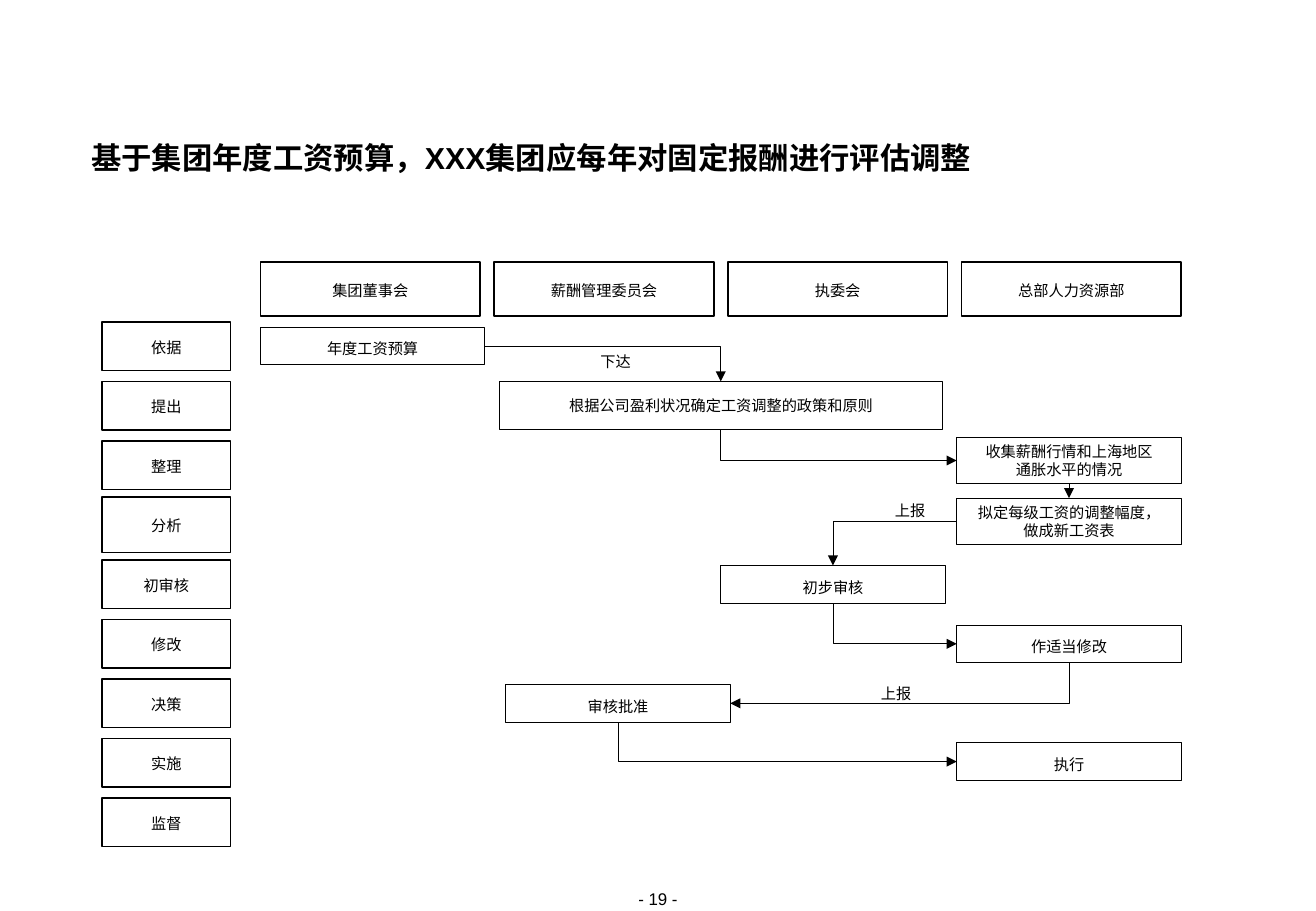
from lxml import etree
from pptx import Presentation
from pptx.dml.color import RGBColor
from pptx.enum.shapes import MSO_CONNECTOR, MSO_SHAPE
from pptx.enum.text import MSO_ANCHOR, PP_ALIGN
from pptx.oxml.ns import qn
from pptx.util import Inches, Pt

RECTANGLE = MSO_SHAPE.RECTANGLE
STRAIGHT, ELBOW = MSO_CONNECTOR.STRAIGHT, MSO_CONNECTOR.ELBOW
LEFT, CENTER = PP_ALIGN.LEFT, PP_ALIGN.CENTER
TOP, MIDDLE = MSO_ANCHOR.TOP, MSO_ANCHOR.MIDDLE
SIDES = {"top": 0, "left": 1, "bottom": 2, "right": 3}

COLORS = {"ink": "000000", "paper": "FFFFFF"}
FONT = "Arial"

TITLE = "基于集团年度工资预算，XXX集团应每年对固定报酬进行评估调整"
PAGE_NUMBER = "- 19 -"
DEPARTMENTS = ["集团董事会", "薪酬管理委员会", "执委会", "总部人力资源部"]
STAGES = ["依据", "提出", "整理", "分析", "初审核", "修改", "决策", "实施", "监督"]
TALL_STAGE = "分析"

# name: (lines, column, row, width, height, line spacing)
STEPS = {
    "budget": (["年度工资预算"], 0.01, 0, 1.85, 0.31, Pt(14)),
    "policy": (["根据公司盈利状况确定工资调整的政策和原则"], 1.5, 1, 3.65, 0.4, 1.0),
    "survey": (["收集薪酬行情和上海地区", "通胀水平的情况"], 2.99, 1.92, 1.85, 0.38, 1.0),
    "proposal": (["拟定每级工资的调整幅度，", "做成新工资表"], 2.99, 2.94, 1.85, 0.38, 1.0),
    "review": (["初步审核"], 1.98, 4, 1.85, 0.31, Pt(14)),
    "revision": (["作适当修改"], 2.99, 5, 1.85, 0.31, Pt(14)),
    "approval": (["审核批准"], 1.06, 6, 1.85, 0.31, Pt(14)),
    "execution": (["执行"], 2.99, 6.98, 1.85, 0.31, Pt(14)),
}
FLOWS = [
    ("budget", "right", "policy", "top"),
    ("policy", "bottom", "survey", "left"),
    ("survey", "bottom", "proposal", "top"),
    ("proposal", "left", "review", "top"),
    ("review", "bottom", "revision", "left"),
    ("revision", "bottom", "approval", "right"),
    ("approval", "bottom", "execution", "left"),
]
FLOW_LABELS = [("下达", 1.05, 0.21), ("上报", 2.31, 2.72), ("上报", 2.25, 5.79)]

# Centres of the grid, in inches
FIRST_COLUMN, COLUMN_PITCH = 3.05, 1.925
FIRST_ROW, ROW_PITCH = 2.85, 0.49
STAGE_X, HEADER_Y = 1.37, 2.38


def column_x(column):
    return FIRST_COLUMN + column * COLUMN_PITCH


def row_y(row):
    return FIRST_ROW + row * ROW_PITCH


def color(name):
    return RGBColor.from_string(COLORS[name])


def write(shape, lines, size=9, spacing=1.0, align=CENTER, anchor=MIDDLE, bold=False, wrap=True):
    frame = shape.text_frame
    frame.margin_left = frame.margin_right = frame.margin_top = frame.margin_bottom = 0
    frame.word_wrap = wrap
    frame.vertical_anchor = anchor
    frame.text = "\n".join(lines)
    for paragraph in frame.paragraphs:
        paragraph.alignment = align
        paragraph.line_spacing = spacing
        paragraph.font.size = Pt(size)
        paragraph.font.name = FONT
        paragraph.font.bold = bold
        paragraph.font.color.rgb = color("ink")


def centered(x, y, width, height):
    """Left, top, width and height of a box around its centre."""
    return [Inches(n) for n in (x - width / 2, y - height / 2, width, height)]


def add_box(slide, lines, x, y, width, height, line_width, spacing, filled=False):
    box = slide.shapes.add_shape(RECTANGLE, *centered(x, y, width, height))
    box.shadow.inherit = False
    if filled:
        box.fill.solid()
        box.fill.fore_color.rgb = color("paper")
    else:
        box.fill.background()
    box.line.color.rgb = color("ink")
    box.line.width = Pt(line_width)
    write(box, lines, spacing=spacing)
    return box


def bend_once(connector, starts_down):
    """Give the connector a single corner, turning its frame if it leaves downwards."""
    properties = connector._element.spPr
    properties.find(qn("a:prstGeom")).set("prst", "bentConnector2")
    if not starts_down:
        return
    goes_right = connector.end_x > connector.begin_x
    left, top, width, height = connector.left, connector.top, connector.width, connector.height
    connector.left = left + (width - height) // 2
    connector.top = top + (height - width) // 2
    connector.width, connector.height = height, width
    frame = properties.find(qn("a:xfrm"))
    frame.set("rot", str((270 if goes_right else 90) * 60000))
    frame.set("flipH", "1" if goes_right else "0")


def add_flow(slide, source, source_side, target, target_side):
    straight = (source_side, target_side) == ("bottom", "top")
    connector = slide.shapes.add_connector(STRAIGHT if straight else ELBOW, 0, 0, 0, 0)
    connector.begin_connect(source, SIDES[source_side])
    connector.end_connect(target, SIDES[target_side])
    if not straight:
        bend_once(connector, source_side == "bottom")
    connector.line.color.rgb = color("ink")
    connector.line.width = Pt(0.5)
    etree.SubElement(connector.line._get_or_add_ln(), qn("a:tailEnd"), type="triangle")
    etree.SubElement(connector._element.spPr, qn("a:effectLst"))


def main():
    presentation = Presentation()
    presentation.slide_width, presentation.slide_height = Inches(10.84), Inches(7.5)
    slide = presentation.slides.add_slide(presentation.slide_layouts[6])

    title = slide.shapes.add_textbox(Inches(0.75), Inches(1.17), Inches(9.33), Inches(0.28))
    write(title, [TITLE], size=18, spacing=Pt(20), align=LEFT, anchor=TOP, bold=True)
    page_number = slide.shapes.add_textbox(*centered(5.42, 7.405, 1.14, 0.17))
    write(page_number, [PAGE_NUMBER], size=10, anchor=TOP)

    for column, department in enumerate(DEPARTMENTS):
        add_box(slide, [department], column_x(column), HEADER_Y, 1.81, 0.44, 1, 1.1)
    for row, stage in enumerate(STAGES):
        height = 0.46 if stage == TALL_STAGE else 0.4
        add_box(slide, [stage], STAGE_X, row_y(row), 1.06, height, 1, 1.1)

    steps = {}
    for name, (lines, column, row, width, height, spacing) in STEPS.items():
        steps[name] = add_box(slide, lines, column_x(column), row_y(row), width, height,
                              0.5, spacing, filled=True)
    for source, source_side, target, target_side in FLOWS:
        add_flow(slide, steps[source], source_side, steps[target], target_side)
    for text, column, row in FLOW_LABELS:
        label = slide.shapes.add_textbox(*centered(column_x(column), row_y(row), 0.25, 0.19))
        write(label, [text], spacing=Pt(14), wrap=False)

    presentation.save("out.pptx")


if __name__ == "__main__":
    main()
